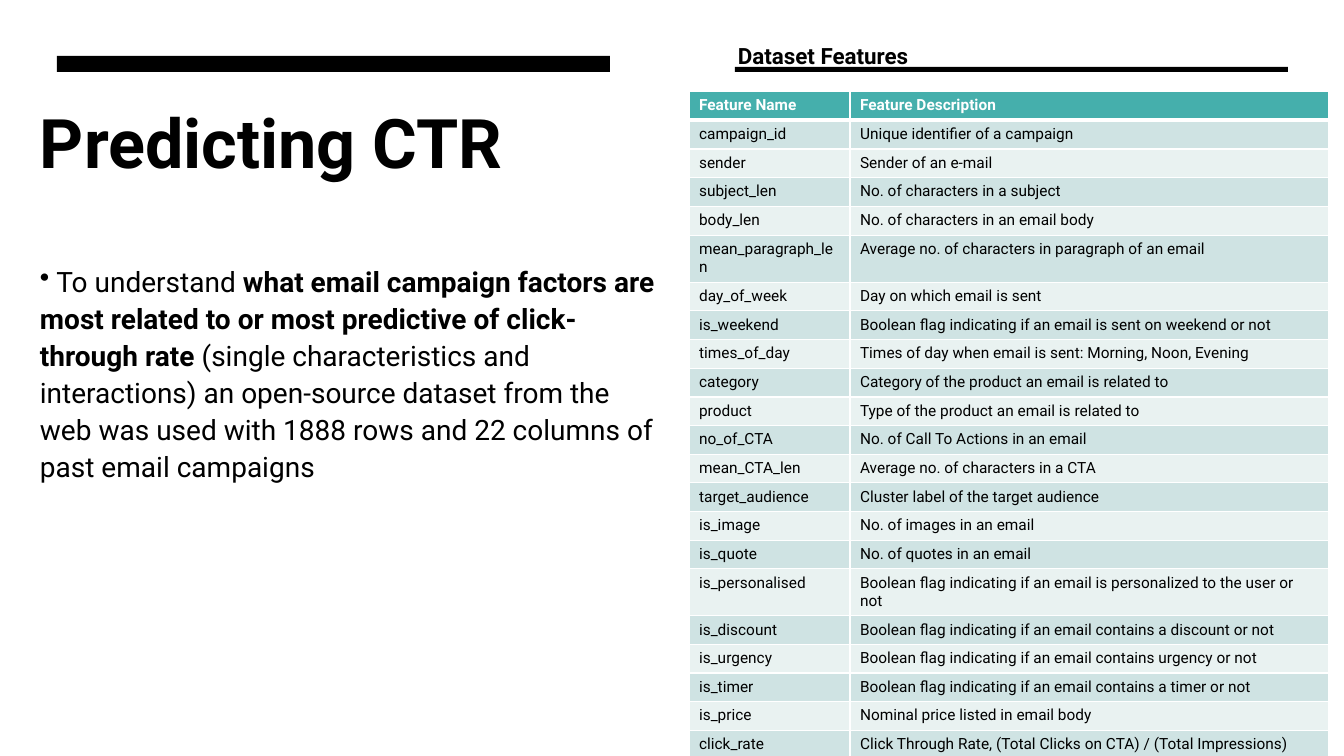
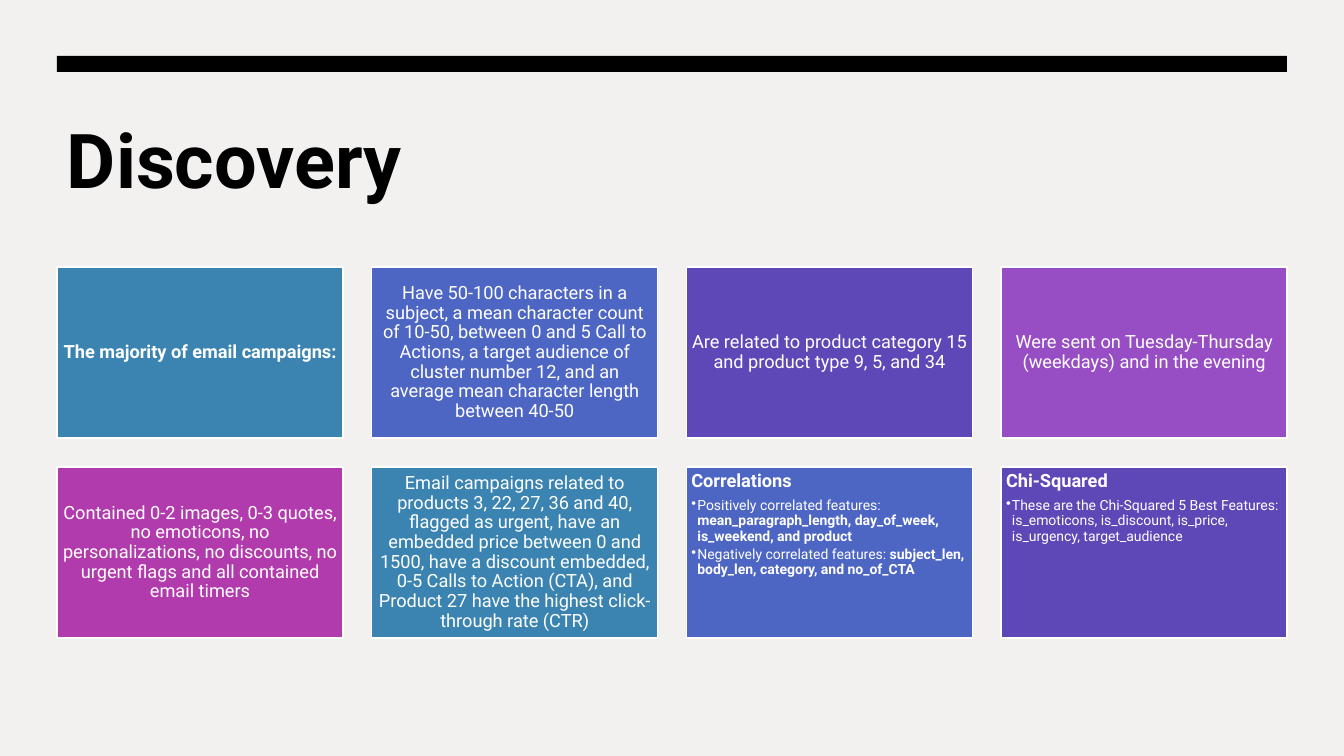
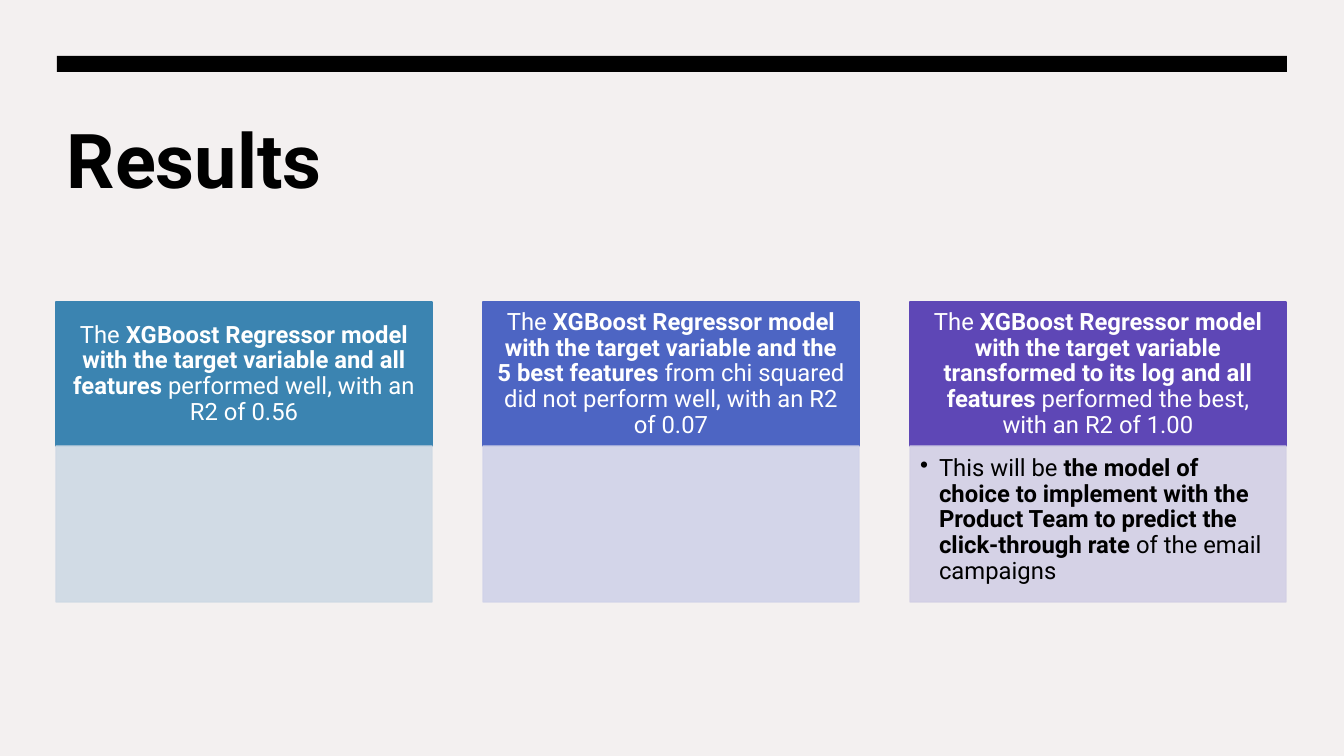
import dataclasses

import lxml.etree
import pptx
import pptx.dml.color
import pptx.enum.shapes
import pptx.enum.text
import pptx.oxml.ns
import pptx.util

PX = 12192000 / 1344
ANCHOR = pptx.enum.text.MSO_ANCHOR
ALIGN = pptx.enum.text.PP_ALIGN
qn = pptx.oxml.ns.qn


@dataclasses.dataclass(frozen=True)
class Theme:
    font: str = "Roboto"
    ink: str = "000000"
    white: str = "FFFFFF"
    paper: str = "F3F0F0"
    accents: tuple = ("3B84B1", "4D65C3", "5E47B6", "974DC3", "B13BAC")
    tints: tuple = ("CED9E4", "D0D3E9", "D2CFE5")
    table_head: str = "45AFAC"
    table_bands: tuple = ("CFE3E3", "E9F2F1")
    title: float = 54
    side_title: float = 48.8
    subtitle: float = 16
    body: float = 20
    result: float = 17
    card: float = 13
    card_detail: float = 10
    cell: float = 11


theme = Theme()


def block(slide, left, top, width, height, fill=None, line=None):
    box = [pptx.util.Emu(round(n * PX)) for n in (left, top, width, height)]
    if fill is None:
        shape = slide.shapes.add_textbox(*box)
    else:
        shape = slide.shapes.add_shape(pptx.enum.shapes.MSO_SHAPE.RECTANGLE, *box)
        shape.shadow.inherit = False
        shape.fill.solid()
        shape.fill.fore_color.rgb = pptx.dml.color.RGBColor.from_string(fill)
        if line:
            shape.line.color.rgb = pptx.dml.color.RGBColor.from_string(line)
            shape.line.width = pptx.util.Pt(1)
        else:
            shape.line.fill.background()
    shape.text_frame.word_wrap = True
    return shape


def write(frame, paragraphs, color, anchor=ANCHOR.TOP, align=ALIGN.LEFT, spacing=None, insets=None):
    frame.vertical_anchor = anchor
    if insets:
        (frame.margin_left, frame.margin_top, frame.margin_right, frame.margin_bottom) = [
            pptx.util.Emu(round(n * PX)) for n in insets]
    for index, (size, runs, indent, after) in enumerate(paragraphs):
        paragraph = frame.add_paragraph() if index else frame.paragraphs[0]
        paragraph.alignment = align
        paragraph.line_spacing = spacing
        paragraph.space_after = pptx.util.Pt(after)
        if indent is not None:
            properties = paragraph._p.get_or_add_pPr()
            properties.set("marL", str(round(indent * PX)))
            properties.set("indent", str(round(-indent * PX)))
            lxml.etree.SubElement(properties, qn("a:buChar")).set("char", "•")
        for text, bold in runs:
            run = paragraph.add_run()
            run.text = text
            run.font.name = theme.font
            run.font.size = pptx.util.Pt(size)
            run.font.bold = bold
            run.font.color.rgb = pptx.dml.color.RGBColor.from_string(color)


deck = pptx.Presentation()
deck.slide_width = pptx.util.Emu(round(1344 * PX))
deck.slide_height = pptx.util.Emu(round(756 * PX))
slides = []
for background, bar_width in ((theme.white, 553), (theme.paper, 1230), (theme.paper, 1230)):
    slide = deck.slides.add_slide(deck.slide_layouts[6])
    slide.background.fill.solid()
    slide.background.fill.fore_color.rgb = pptx.dml.color.RGBColor.from_string(background)
    block(slide, 57, 56, bar_width, 16, theme.ink)
    slides.append(slide)
predicting, discovery, results = slides

for slide, title, size, place in (
    (predicting, "Predicting CTR", theme.side_title, (30, 95, 677, 123)),
    (discovery, "Discovery", theme.title, (57, 108, 1230, 120)),
    (results, "Results", theme.title, (57, 108, 1230, 120)),
):
    write(block(slide, *place).text_frame, [(size, [(title, True)], None, 0)], theme.ink)

block(predicting, 735, 67, 553, 5, theme.ink)
write(block(predicting, 728, 35, 600, 42).text_frame,
      [(theme.subtitle, [("Dataset Features", True)], None, 0)], theme.ink, ANCHOR.MIDDLE)
write(block(predicting, 30, 256, 648, 386).text_frame, [(theme.body, [
    (" To understand ", False),
    ("what email campaign factors are most related to or most predictive of click-through rate ", True),
    ("(single characteristics and interactions) an open-source dataset from the web was used "
     "with 1888 rows and 22 columns of past email campaigns", False),
], 0, 0)], theme.ink, spacing=1.1)

features = [
    ("Feature Name", "Feature Description"),
    ("campaign_id", "Unique identifier of a campaign"),
    ("sender", "Sender of an e-mail"),
    ("subject_len", "No. of characters in a subject"),
    ("body_len", "No. of characters in an email body"),
    ("mean_paragraph_len", "Average no. of characters in paragraph of an email"),
    ("day_of_week", "Day on which email is sent"),
    ("is_weekend", "Boolean flag indicating if an email is sent on weekend or not"),
    ("times_of_day", "Times of day when email is sent: Morning, Noon, Evening"),
    ("category", "Category of the product an email is related to"),
    ("product", "Type of the product an email is related to"),
    ("no_of_CTA", "No. of Call To Actions in an email"),
    ("mean_CTA_len", "Average no. of characters in a CTA"),
    ("target_audience", "Cluster label of the target audience"),
    ("is_image", "No. of images in an email"),
    ("is_quote", "No. of quotes in an email"),
    ("is_personalised", "Boolean flag indicating if an email is personalized to the user or not"),
    ("is_discount", "Boolean flag indicating if an email contains a discount or not"),
    ("is_urgency", "Boolean flag indicating if an email contains urgency or not"),
    ("is_timer", "Boolean flag indicating if an email contains a timer or not"),
    ("is_price", "Nominal price listed in email body"),
    ("click_rate", "Click Through Rate, (Total Clicks on CTA) / (Total Impressions)"),
]
wrapped_features = ("mean_paragraph_len", "is_personalised")
tall_rows = (0, 1, 4, 8)
feature_table = predicting.shapes.add_table(
    len(features), 2, *[pptx.util.Emu(round(n * PX)) for n in (689, 91, 640, 657)]).table
feature_table.horz_banding = False
for column, width in zip(feature_table.columns, (161, 479)):
    column.width = pptx.util.Emu(round(width * PX))
for row, feature in enumerate(features):
    height = 46 if feature[0] in wrapped_features else 29 if row in tall_rows else 28
    feature_table.rows[row].height = pptx.util.Emu(round(height * PX))
    for column, text in enumerate(feature):
        cell = feature_table.cell(row, column)
        write(cell.text_frame, [(theme.cell, [(text + " ", row == 0)], None, 0)],
              theme.ink if row else theme.white)
        for side in ("L", "R", "T", "B"):
            thick = (row == 0 and side == "B") or (row == 1 and side == "T")
            border = lxml.etree.SubElement(cell._tc.get_or_add_tcPr(), qn("a:ln" + side))
            border.set("w", str(pptx.util.Pt(3 if thick else 1)))
            border_fill = lxml.etree.SubElement(border, qn("a:solidFill"))
            lxml.etree.SubElement(border_fill, qn("a:srgbClr")).set("val", theme.white)
        cell.fill.solid()
        cell.fill.fore_color.rgb = pptx.dml.color.RGBColor.from_string(
            theme.table_bands[(row - 1) % 2] if row else theme.table_head)

findings = [
    [("The majority of email campaigns:", True)],
    [("Have 50-100 characters in a subject, a mean character count of 10-50, between 0 and 5 Call to "
      "Actions, a target audience of cluster number 12, and an average mean character length "
      "between 40-50", False)],
    [("Are related to product category 15 and product type 9, 5, and 34", False)],
    [("Were sent on Tuesday-Thursday (weekdays) and in the evening", False)],
    [("Contained 0-2 images, 0-3 quotes, no emoticons, no personalizations, no discounts, "
      "no urgent flags and all contained email timers", False)],
    [("Email campaigns related to products 3, 22, 27, 36 and 40, flagged as urgent, have an embedded "
      "price between 0 and 1500, have a discount embedded, 0-5 Calls to Action (CTA), and Product 27 "
      "have the highest click-through rate (CTR)", False)],
]
statistics = [
    ("Correlations", [
        [("Positively correlated features: ", False),
         ("mean_paragraph_length, day_of_week, is_weekend, and product", True)],
        [("Negatively correlated features: ", False),
         ("subject_len, body_len, category, and no_of_CTA", True)],
    ]),
    ("Chi-Squared", [
        [("These are the Chi-Squared 5 Best Features: is_emoticons, is_discount, is_price, "
          "is_urgency, target_audience", False)],
    ]),
]
cards = [([(theme.card, runs, None, 0)], ANCHOR.MIDDLE, ALIGN.CENTER) for runs in findings]
for heading, details in statistics:
    paragraphs = [(theme.card, [(heading, True)], None, 5)]
    paragraphs += [(theme.card_detail, runs, 6, 2) for runs in details]
    cards.append((paragraphs, ANCHOR.TOP, ALIGN.LEFT))
card_width, card_height = 286, 171
card_pitch = (1230 - card_width) / 3
for index, (paragraphs, anchor, align) in enumerate(cards):
    row, column = divmod(index, 4)
    card = block(discovery, 57 + column * card_pitch, 267 + row * 200, card_width, card_height,
                 theme.accents[index % len(theme.accents)], theme.white)
    write(card.text_frame, paragraphs, theme.white, anchor, align, 0.9, (5, 5, 5, 5))

models = [
    ([("The ", False),
      ("XGBoost Regressor model with the target variable and all features", True),
      (" performed well, with an R2 of 0.56", False)], None),
    ([("The ", False),
      ("XGBoost Regressor model with the target variable and the 5 best features", True),
      (" from chi squared did not perform well, with an R2 of 0.07", False)], None),
    ([("The ", False),
      ("XGBoost Regressor model with the target variable transformed to its log and all features", True),
      (" performed the best, with an R2 of 1.00", False)],
     [("This will be ", False),
      ("the model of choice to implement with the Product Team to predict the click-through rate", True),
      (" of the email campaigns", False)]),
]
for index, (outcome, decision) in enumerate(models):
    left = 56 + index * 427
    accent, tint = theme.accents[index], theme.tints[index]
    model_head = block(results, left, 302, 376, 144, accent, accent)
    write(model_head.text_frame, [(theme.result, outcome, None, 0)], theme.white,
          ANCHOR.MIDDLE, ALIGN.CENTER, 0.9, (13, 8, 13, 8))
    model_panel = block(results, left, 446, 376, 156, tint, tint)
    for tint_color in model_panel._element.spPr.iter(qn("a:srgbClr")):
        lxml.etree.SubElement(tint_color, qn("a:alpha")).set("val", "90000")
    if decision:
        write(model_panel.text_frame, [(theme.result, decision, 19, 0)], theme.ink,
              spacing=0.9, insets=(10, 10, 13, 15))

deck.save("out.pptx")
